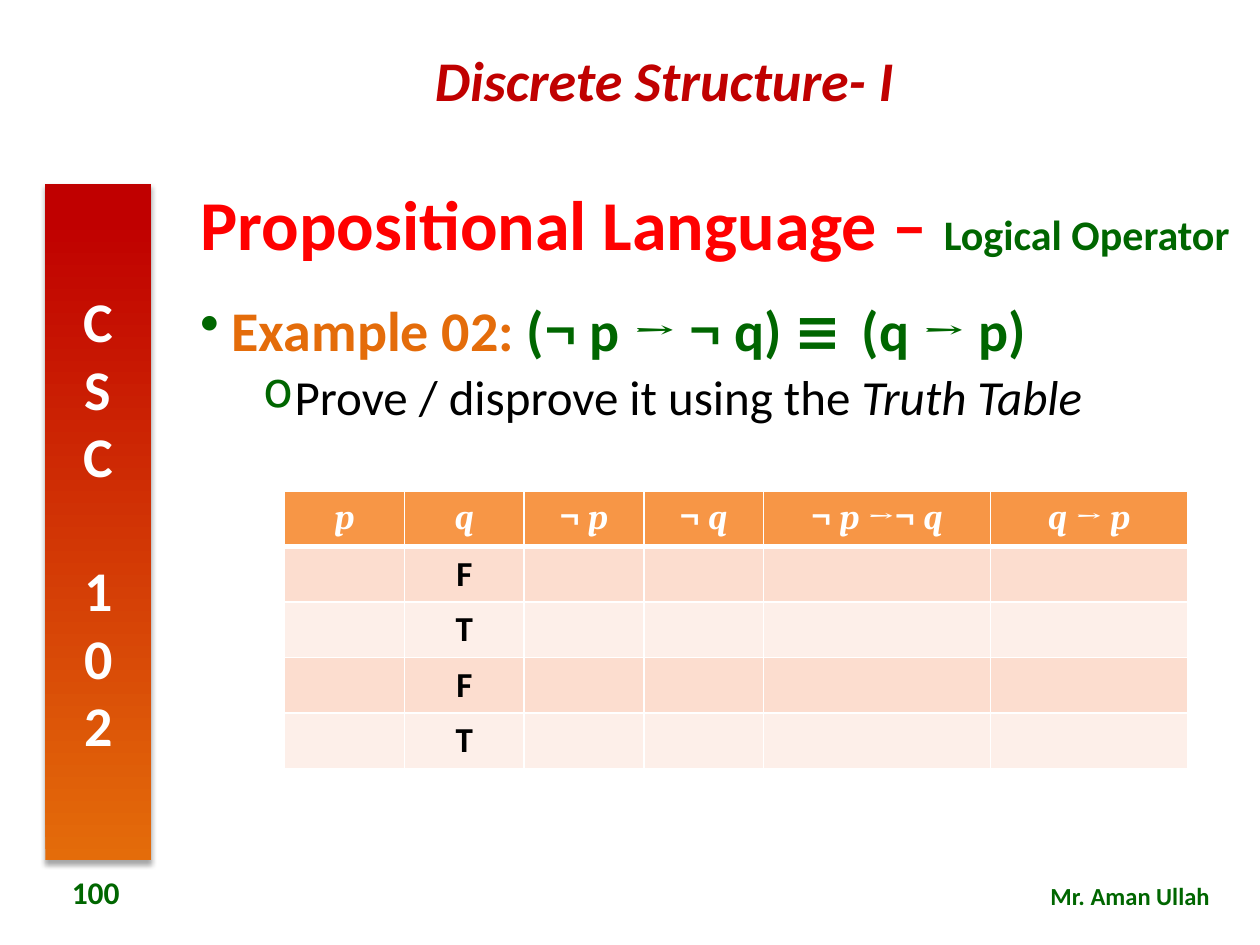
"""Build the truth-table exercise slide for Discrete Structure."""
from dataclasses import dataclass
from typing import NamedTuple, Optional

from lxml import etree
from pptx import Presentation, util as u
from pptx.dml.color import RGBColor
from pptx.enum import shapes, text
from pptx.oxml import ns


@dataclass(frozen=True)
class Theme:
    """Colours, fonts and type sizes of the slide."""
    crimson: str = "C00000"
    red: str = "FF0000"
    orange: str = "E46C0A"
    green: str = "006600"
    black: str = "000000"
    white: str = "FFFFFF"
    header: str = "F79646"
    bands: tuple = ("FCDDCF", "FDEFE9")
    sans: str = "Calibri"
    serif: str = "Cambria"
    comic: str = "Comic Neue"
    heading: int = 40
    large: int = 32
    body: int = 28
    subtitle: int = 24
    table: int = 20
    number: int = 18
    footer: int = 14


class Box(NamedTuple):
    """A place counted in columns and rows of the slide grid."""
    left: float
    top: float
    width: float
    height: float


class Run(NamedTuple):
    """A stretch of text in one format."""
    words: str
    size: int
    colour: str
    font: str = "Calibri"
    bold: bool = True
    italic: bool = False


class Bullet(NamedTuple):
    """A bullet sign with its left margin in inches."""
    sign: str
    margin: float


class Line(NamedTuple):
    """A paragraph made of runs."""
    runs: list
    format: dict
    bullet: Optional[Bullet] = None


THEME = Theme()
ALIGN = text.PP_ALIGN
ANCHOR = text.MSO_ANCHOR
CENTRED = {"alignment": ALIGN.CENTER}
GRID_COLUMNS, GRID_ROWS = 100, 75
WIDTH, HEIGHT = u.Inches(10), u.Inches(7.5)
COLUMN, ROW = WIDTH / GRID_COLUMNS, HEIGHT / GRID_ROWS
TABLE_COLUMNS = (9.5, 9.5, 9.5, 9.5, 18, 15.7)
TABLE_ROW = 4.4
HEADERS = ("p", "q", "¬ |p", "¬ |q", "¬ |p |→¬ |q", "q |→ |p")
Q_VALUES = "FTFT"


def apply(target: object, values: dict) -> None:
    """Set each named attribute of the target."""
    for name, value in values.items():
        setattr(target, name, value)


def add_element(parent, tag: str, **attributes: str):
    """Append a drawing element and return it."""
    return etree.SubElement(parent, ns.qn(tag), attributes)


def place(shape, box: Box) -> None:
    """Move and size a shape on the grid."""
    apply(shape, {"left": round(box.left * COLUMN), "top": round(box.top * ROW),
                  "width": round(box.width * COLUMN), "height": round(box.height * ROW)})


def add_bullet(paragraph, bullet: Bullet) -> None:
    """Give a paragraph a hanging green bullet."""
    properties = paragraph._p.get_or_add_pPr()
    properties.set("marL", str(u.Inches(bullet.margin)))
    properties.set("indent", str(-u.Inches(0.25)))
    colour = add_element(properties, "a:buClr")
    add_element(colour, "a:srgbClr", val=THEME.green)
    add_element(properties, "a:buChar", char=bullet.sign)


def write(frame, lines: list, anchor=ANCHOR.TOP) -> None:
    """Fill a text frame with formatted lines."""
    apply(frame, {"word_wrap": True, "vertical_anchor": anchor})
    for index, line in enumerate(lines):
        paragraph = frame.add_paragraph() if index else frame.paragraphs[0]
        if line.bullet:
            add_bullet(paragraph, line.bullet)
        apply(paragraph, line.format)
        for item in line.runs:
            run = paragraph.add_run()
            run.text = item.words
            apply(run.font, {"size": u.Pt(item.size), "name": item.font,
                             "bold": item.bold, "italic": item.italic})
            run.font.color.rgb = RGBColor.from_string(item.colour)


def add_label(slide, box: Box, lines: list, anchor=ANCHOR.TOP) -> None:
    """Add a text box on the grid."""
    shape = slide.shapes.add_textbox(0, 0, 0, 0)
    place(shape, box)
    write(shape.text_frame, lines, anchor)


def add_course_bar(slide) -> None:
    """Add the gradient bar with the stacked course code."""
    shape = slide.shapes.add_shape(shapes.MSO_SHAPE.RECTANGLE, 0, 0, 0, 0)
    place(shape, Box(3.6, 14.6, 8.4, 53.7))
    shape.line.fill.background()
    shape.fill.gradient()
    shape.fill.gradient_angle = 90
    stops = ((0, THEME.orange), (0.95, THEME.crimson))
    for stop, (position, colour) in zip(shape.fill.gradient_stops, stops):
        stop.position = position
        stop.color.rgb = RGBColor.from_string(colour)
    effects = add_element(shape._element.spPr, "a:effectLst")
    shadow = add_element(effects, "a:outerShdw", blurRad=str(u.Pt(3.1)),
                         dist=str(u.Pt(1.8)), dir="5400000", rotWithShape="0")
    colour = add_element(shadow, "a:srgbClr", val=THEME.black)
    add_element(colour, "a:alpha", val="35000")
    write(shape.text_frame, [Line([Run("CSC 102", THEME.large, THEME.white)], CENTRED)],
          ANCHOR.MIDDLE)
    shape.text_frame._txBody.bodyPr.set("vert", "wordArtVert")


def paint_cell(cell, colour: str, bottom: float) -> None:
    """Give a cell white borders and a plain fill."""
    properties = cell._tc.get_or_add_tcPr()
    for side, width in (("L", 1), ("R", 1), ("T", 1), ("B", bottom)):
        border = add_element(properties, f"a:ln{side}", w=str(u.Pt(width)))
        fill = add_element(border, "a:solidFill")
        add_element(fill, "a:srgbClr", val=THEME.white)
    cell.fill.solid()
    cell.fill.fore_color.rgb = RGBColor.from_string(colour)


def header_runs(formula: str) -> list:
    """Set variables in italics and operators upright."""
    return [Run(part, THEME.table, THEME.white, THEME.serif, italic=part.strip() in "pq")
            for part in formula.split("|")]


def add_truth_table(slide) -> None:
    """Add the truth table with only the q column filled in."""
    count = len(Q_VALUES) + 1
    frame = slide.shapes.add_table(count, len(HEADERS), 0, 0, 0, 0)
    place(frame, Box(22.6, 39, sum(TABLE_COLUMNS), count * TABLE_ROW))
    table = frame.table
    for column, width in zip(table.columns, TABLE_COLUMNS):
        column.width = round(width * COLUMN)
    for index, row in enumerate(table.rows):
        row.height = round(TABLE_ROW * ROW)
        for position, cell in enumerate(row.cells):
            paint_cell(cell, THEME.bands[(index - 1) % 2] if index else THEME.header,
                       1 if index else 3)
            if index == 0:
                write(cell.text_frame, [Line(header_runs(HEADERS[position]), CENTRED)])
            elif HEADERS[position] == "q":
                value = Run(Q_VALUES[index - 1], THEME.table, THEME.black)
                write(cell.text_frame, [Line([value], CENTRED)])


def main() -> None:
    """Build and save the slide."""
    presentation = Presentation()
    apply(presentation, {"slide_width": WIDTH, "slide_height": HEIGHT})
    slide = presentation.slides.add_slide(presentation.slide_layouts.get_by_name("Title Only"))
    place(slide.shapes.title, Box(14.9, 13.6, 83.9, 8.9))
    write(slide.shapes.title.text_frame, [Line(
        [Run("Propositional Language – ", THEME.heading, THEME.red),
         Run("Logical Operator", THEME.subtitle, THEME.green)],
        {"alignment": ALIGN.LEFT, "line_spacing": 0.9})], ANCHOR.MIDDLE)
    add_label(slide, Box(21.1, 3.1, 63.3, 6.4), [Line(
        [Run("Discrete Structure- I", THEME.large, THEME.crimson, italic=True)], CENTRED)])
    add_course_bar(slide)
    add_label(slide, Box(68, 69.4, 29, 3.4), [Line(
        [Run("Mr. Aman Ullah", THEME.footer, THEME.green)], {"alignment": ALIGN.RIGHT})])
    formula = (("(", THEME.sans), ("¬ ", THEME.serif), ("p ", THEME.sans),
               ("→ ¬ ", THEME.serif), ("q) ", THEME.sans), ("≡ ", THEME.comic),
               ("(q ", THEME.sans), ("→", THEME.serif), (" p)", THEME.sans))
    example = [Run("Example 02: ", THEME.large, THEME.orange)]
    example += [Run(part, THEME.large, THEME.green, font) for part, font in formula]
    task = [Run("Prove / disprove it using the ", THEME.body, THEME.black, bold=False),
            Run("Truth Table", THEME.body, THEME.black, bold=False, italic=True)]
    add_label(slide, Box(14.9, 23.6, 83.9, 44), [
        Line(example, {"alignment": ALIGN.JUSTIFY, "line_spacing": 0.9}, Bullet("•", 0.25)),
        Line(task, {"level": 1, "line_spacing": 0.9, "space_before": u.Pt(5)},
             Bullet("o", 0.75))])
    add_label(slide, Box(2.4, 68.8, 10.4, 4), [Line(
        [Run("100", THEME.number, THEME.green)], CENTRED)], ANCHOR.MIDDLE)
    add_truth_table(slide)
    presentation.save("out.pptx")


if __name__ == "__main__":
    main()
